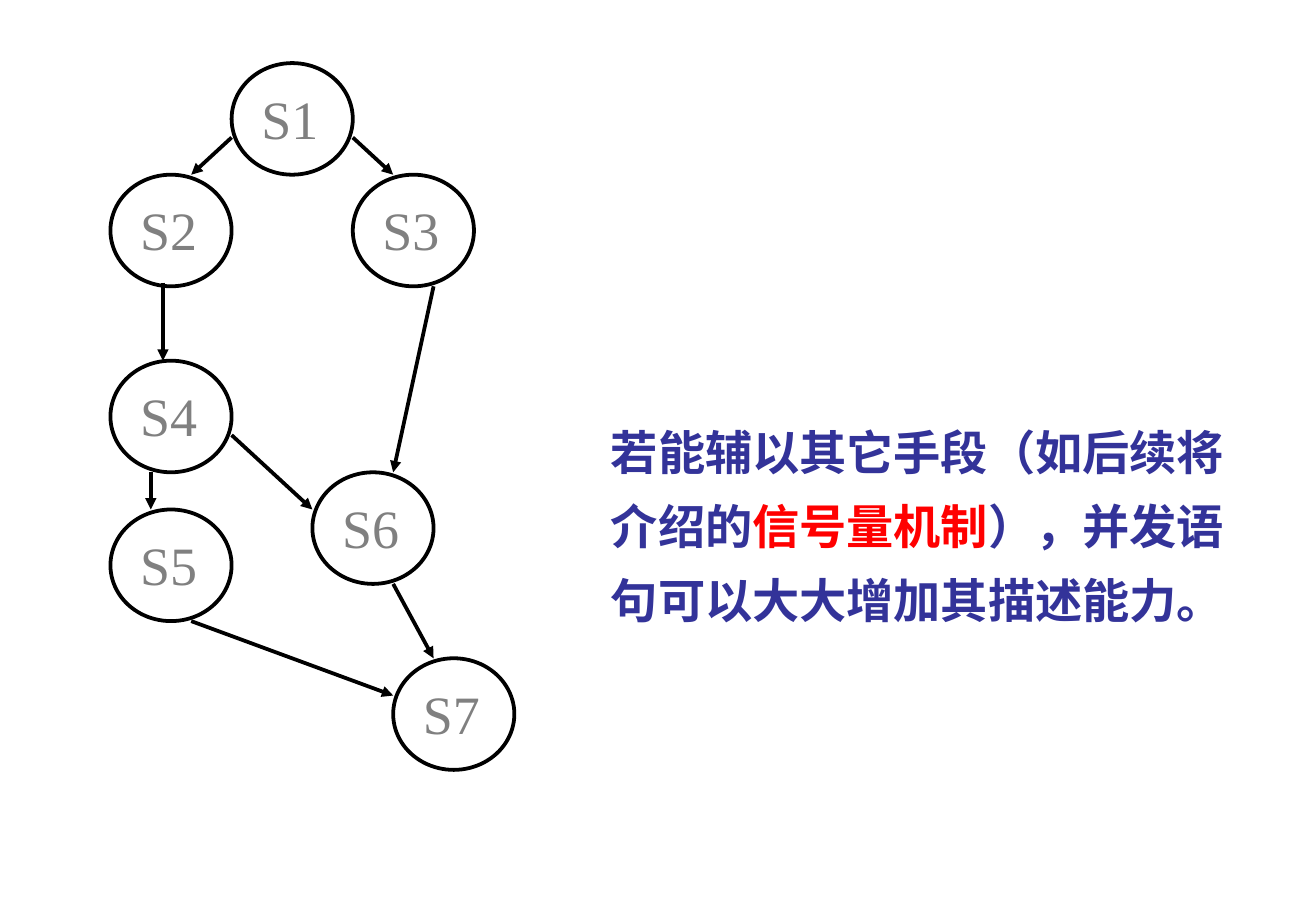
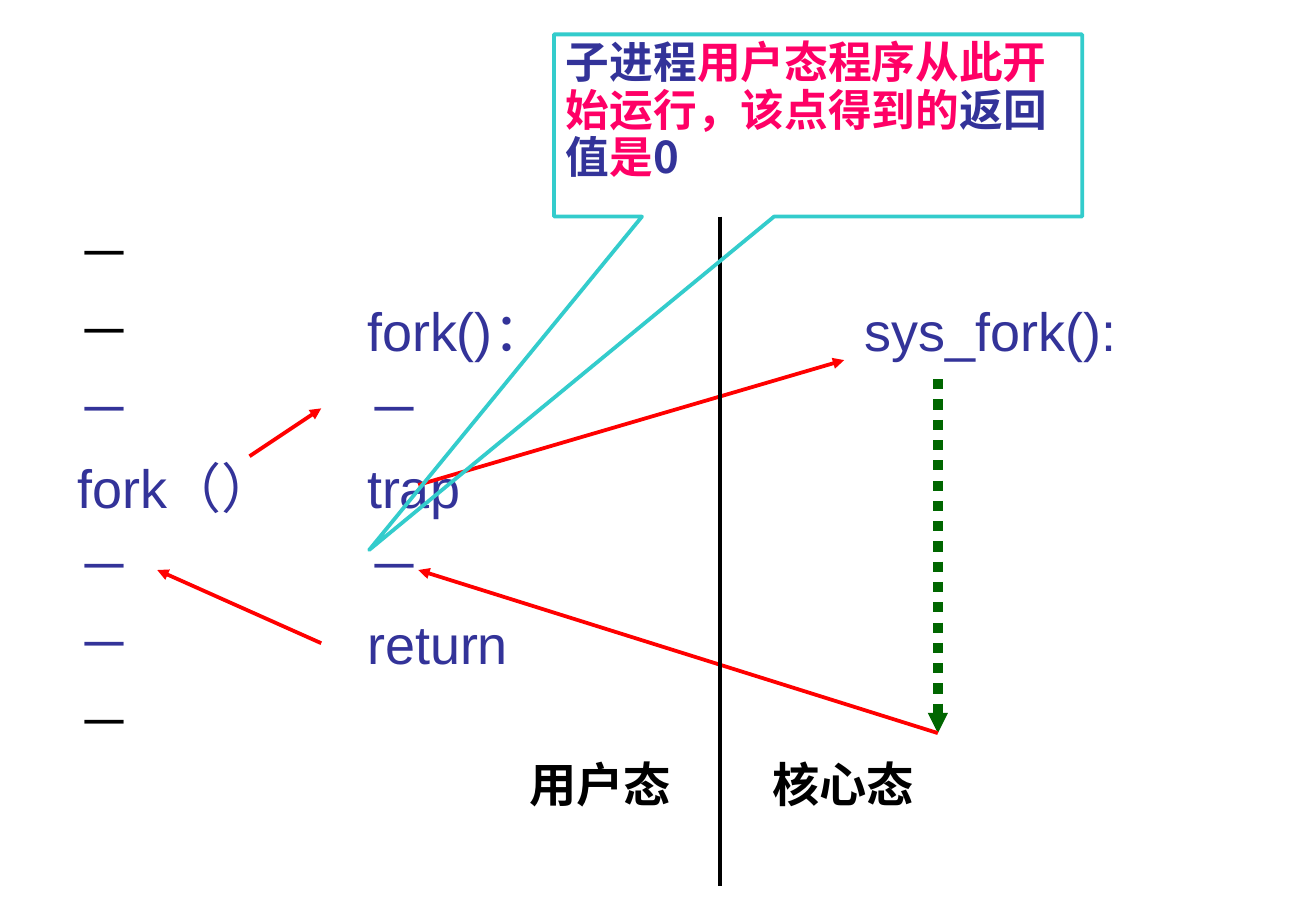
from collections import namedtuple

from lxml.etree import SubElement
from pptx import Presentation
from pptx.dml.color import RGBColor
from pptx.enum.dml import MSO_LINE
from pptx.enum.shapes import MSO_CONNECTOR, MSO_SHAPE
from pptx.enum.text import MSO_ANCHOR, MSO_AUTO_SIZE, PP_ALIGN
from pptx.oxml.ns import qn
from pptx.util import Cm, Pt

Box = namedtuple("Box", "left top width height")

BLACK, WHITE, GRAY = "000000", "FFFFFF", "808080"
NAVY, RED, PINK, GREEN, TEAL = "333399", "FF0000", "FF0066", "006600", "33CCCC"
CHINESE_FONT = "Noto Sans CJK SC"
LINE_WIDTH = 2.25

NODE_FORMAT = dict(name="Times New Roman", size=Pt(32), bold=False)
CODE_FORMAT = dict(name="Arial", size=Pt(32), bold=False)
STRONG_FORMAT = dict(name="Times New Roman", size=Pt(28), bold=True)
CALLOUT_FORMAT = dict(name=CHINESE_FONT, size=Pt(25.9), bold=True)

# Node positions and arrow ends count cells of the graph's grid.
GRID_COLUMNS, GRID_ROWS, NODE_CELLS = 10, 19, 3
NODES = {
    "S1": (3, 0), "S2": (0, 3), "S3": (6, 3), "S4": (0, 8),
    "S5": (0, 12), "S6": (5, 11), "S7": (7, 16),
}
GRAPH_ARROWS = [
    ((3, 2), (2, 3)),
    ((6, 2), (7, 3)),
    ((1, 11), (1, 12)),
    ((3, 10), (5, 12)),
    ((8, 6), (7, 11)),
    ((2, 15), (7, 17)),
    ((7, 14), (8, 16)),
    ((1.3, 5.9), (1.3, 8)),
]
REMARK = [
    ("若能辅以其它手段（如后续将介绍的", NAVY),
    ("信号量机制", RED),
    ("），并发语句可以大大增加其描述能力。", NAVY),
]

# Each code column: left edge, width, first row, lines with their colours.
CODE_TOP, CODE_ROW_HEIGHT = 3.74, 1.64
CODE_COLUMNS = [
    (0, 5.5, 0, [("－", BLACK), ("－", BLACK), ("－", NAVY), ("fork（）", NAVY),
                 ("－", NAVY), ("－", NAVY), ("－", BLACK)]),
    (6.05, 5.5, 1, [("fork()：", NAVY), ("－", NAVY), ("trap", NAVY),
                    ("－", NAVY), ("return", NAVY)]),
    (16.46, 8, 1, [("sys_fork():", NAVY)]),
]
MODE_LABELS = [(9.45, "用户态"), (14.53, "核心态")]
CALL_ARROWS = [
    ((3.84, 8.82), (5.34, 7.82)),
    ((5.34, 12.73), (1.91, 11.2)),
    ((7.37, 9.42), (16.28, 6.81)),
]
KERNEL_START, KERNEL_END = (18.24, 7.21), (18.24, 14.61)
TRAP_RETURN = (7.37, 11.2)
CALLOUT_SPANS = [
    ("子进程", NAVY),
    ("用户态程序从此开始运行，该点得到的", PINK),
    ("返回值", NAVY),
    ("是", PINK),
    ("0", NAVY),
]


def color(hex_string):
    return RGBColor.from_string(hex_string)


def write(frame, rows, span_format, line_height, space_before=0):
    """Fill a text frame; each row is a list of (text, colour) spans."""
    frame.word_wrap = True
    frame.auto_size = MSO_AUTO_SIZE.NONE
    frame.vertical_anchor = MSO_ANCHOR.TOP
    for index, row in enumerate(rows):
        para = frame.add_paragraph() if index else frame.paragraphs[0]
        para.alignment = PP_ALIGN.LEFT
        para.line_spacing = Pt(line_height)
        para.space_before = Pt(space_before if index else 0)
        for text, hex_string in row:
            span = para.add_run()
            span.text = text
            for name, value in span_format.items():
                setattr(span.font, name, value)
            span.font.color.rgb = color(hex_string)
            SubElement(span._r.get_or_add_rPr(), qn("a:ea"), typeface=CHINESE_FONT)


def add_text(page, box, rows, span_format, line_height, space_before=0):
    text_box = page.shapes.add_textbox(*map(Cm, box))
    write(text_box.text_frame, rows, span_format, line_height, space_before)


def add_outline(page, kind, box, line_color):
    shape = page.shapes.add_shape(kind, *map(Cm, box))
    shape.shadow.inherit = False
    shape.line.color.rgb = color(line_color)
    shape.line.width = Pt(LINE_WIDTH)
    return shape


def add_line(page, start, end, line_color, width=LINE_WIDTH, dash=None, head="med"):
    line = page.shapes.add_connector(MSO_CONNECTOR.STRAIGHT, *map(Cm, start + end))
    line.line.color.rgb = color(line_color)
    line.line.width = Pt(width)
    if dash:
        line.line.dash_style = dash
    if head:
        SubElement(line.line._get_or_add_ln(), qn("a:tailEnd"),
                   type="triangle", w=head, len=head)
    SubElement(line._element.spPr, qn("a:effectLst"))


def add_precedence_graph(page, box):
    cell_width, cell_height = box.width / GRID_COLUMNS, box.height / GRID_ROWS

    def point(cell):
        return box.left + cell[0] * cell_width, box.top + cell[1] * cell_height

    for name, cell in NODES.items():
        node_box = Box(*point(cell), NODE_CELLS * cell_width, NODE_CELLS * cell_height)
        node = add_outline(page, MSO_SHAPE.OVAL, node_box, BLACK)
        node.fill.solid()
        node.fill.fore_color.rgb = color(WHITE)
        write(node.text_frame, [[(name, GRAY)]], NODE_FORMAT, 38.4)
    for start, end in GRAPH_ARROWS:
        add_line(page, point(start), point(end), BLACK)


def add_fork_diagram(page, box):
    def point(offset):
        return box.left + offset[0], box.top + offset[1]

    for left, width, first_row, lines in CODE_COLUMNS:
        top = CODE_TOP + first_row * CODE_ROW_HEIGHT
        column_box = Box(*point((left, top)), width, len(lines) * CODE_ROW_HEIGHT)
        add_text(page, column_box, [[line] for line in lines], CODE_FORMAT, 38.4,
                 space_before=8)

    for start, end in CALL_ARROWS:
        add_line(page, point(start), point(end), RED)
    add_line(page, point(KERNEL_START), point(KERNEL_END), GREEN,
             width=6, dash=MSO_LINE.ROUND_DOT, head="sm")
    add_line(page, point(KERNEL_END), point(TRAP_RETURN), RED)
    add_line(page, point((13.69, 3.81)), point((13.69, box.height)), BLACK, head=None)

    callout = add_outline(page, MSO_SHAPE.RECTANGULAR_CALLOUT,
                          Box(*point((10.21, 0)), 11.05, 3.81), TEAL)
    callout.fill.background()
    callout.adjustments[0], callout.adjustments[1] = -0.85, 2.33
    write(callout.text_frame, [CALLOUT_SPANS], CALLOUT_FORMAT, 28)

    for left, label in MODE_LABELS:
        add_text(page, Box(*point((left, 14.94)), 4, 1.45), [[(label, BLACK)]],
                 STRONG_FORMAT, 34)


def main():
    deck = Presentation()
    deck.slide_width, deck.slide_height = Cm(27.53), Cm(19.05)
    blank_layout = deck.slide_layouts[6]

    graph_page = deck.slides.add_slide(blank_layout)
    add_precedence_graph(graph_page, Box(2.31, 1.32, 8.45, 14.78))
    add_text(graph_page, Box(12.53, 8.36, 13.67, 4.88), [REMARK], STRONG_FORMAT, 44)

    fork_page = deck.slides.add_slide(blank_layout)
    add_fork_diagram(fork_page, Box(1.38, 0.72, 24.77, 17.81))
    deck.save("out.pptx")


if __name__ == "__main__":
    main()
